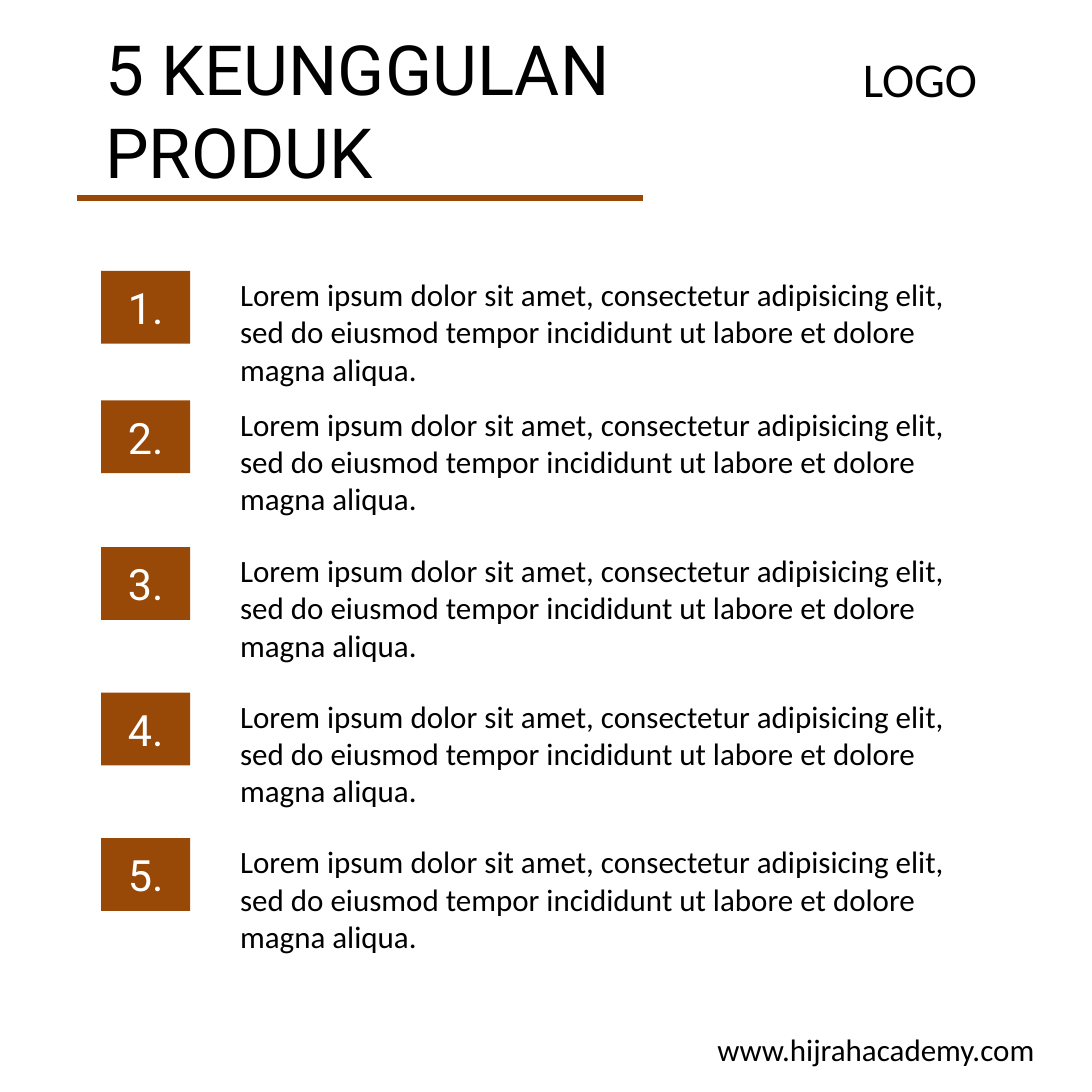
from lxml.etree import SubElement
from pptx import Presentation
from pptx.dml.color import RGBColor
from pptx.enum.shapes import MSO_CONNECTOR, MSO_SHAPE
from pptx.enum.text import MSO_ANCHOR, PP_ALIGN
from pptx.oxml.ns import qn
from pptx.util import Emu, Pt

COLORS = {"brown": "984807", "black": "000000", "white": "FFFFFF"}
LOREM = ("Lorem ipsum dolor sit amet, consectetur adipisicing elit, "
         "sed do eiusmod tempor incididunt ut labore et dolore magna aliqua.")


def px(n):
    return Emu(n * 9525)


def rgb(name):
    return RGBColor.from_string(COLORS[name])


class Poster:
    heading_font = "Roboto"
    body_font = "Calibri"

    def __init__(self, slide):
        self.s = slide

    def add_lines(self, tf, lines, size, font, color="black"):
        tf.word_wrap = True
        p = tf.paragraphs[0]
        for i, line in enumerate(lines):
            if i:
                p.add_line_break()
            r = p.add_run()
            r.text = line
            r.font.size = Pt(size)
            r.font.name = font
            r.font.color.rgb = rgb(color)
        return p

    def text(self, x, y, w, h, lines, size, font=body_font):
        sp = self.s.shapes.add_textbox(px(x), px(y), px(w), px(h))
        self.add_lines(sp.text_frame, lines, size, font)
        return sp.text_frame

    def title(self, x, y, w, h, lines):
        tf = self.text(x, y, w, h, lines, 51.3, self.heading_font)
        tf.vertical_anchor = MSO_ANCHOR.MIDDLE
        tf.margin_left = tf.margin_right = px(12)
        tf.margin_top = tf.margin_bottom = px(6)

    def rule(self, x1, x2, y):
        line = self.s.shapes.add_connector(
            MSO_CONNECTOR.STRAIGHT, px(x1), px(y), px(x2), px(y))
        line.line.color.rgb = rgb("brown")
        line.line.width = Pt(4.5)
        SubElement(line._element.spPr, qn("a:effectLst"))

    def badge(self, x, y, w, h, label):
        sp = self.s.shapes.add_shape(
            MSO_SHAPE.RECTANGLE, px(x), px(y), px(w), px(h))
        sp.shadow.inherit = False
        sp.fill.solid()
        sp.fill.fore_color.rgb = rgb("brown")
        sp.line.fill.background()
        sp.text_frame.vertical_anchor = MSO_ANCHOR.MIDDLE
        p = self.add_lines(sp.text_frame, [label], 32, self.heading_font, "white")
        p.alignment = PP_ALIGN.CENTER


def main():
    prs = Presentation()
    prs.slide_width = prs.slide_height = px(1080)
    poster = Poster(prs.slides.add_slide(prs.slide_layouts[6]))

    # Header
    poster.title(92, 44, 918, 128, ["5 KEUNGGULAN", "PRODUK"])
    poster.rule(76, 636, 196)
    poster.text(844, 44, 196, 68, ["LOGO"], 36)

    # Numbered advantages
    for number, y in enumerate((268, 396, 541, 685, 829), start=1):
        poster.badge(100, y, 88, 72, f"{number}.")
        poster.text(228, y, 728, 121, [LOREM], 23)

    # Footer
    poster.text(700, 1014, 340, 47, ["www.hijrahacademy.com"], 23)

    prs.save("out.pptx")


if __name__ == "__main__":
    main()
